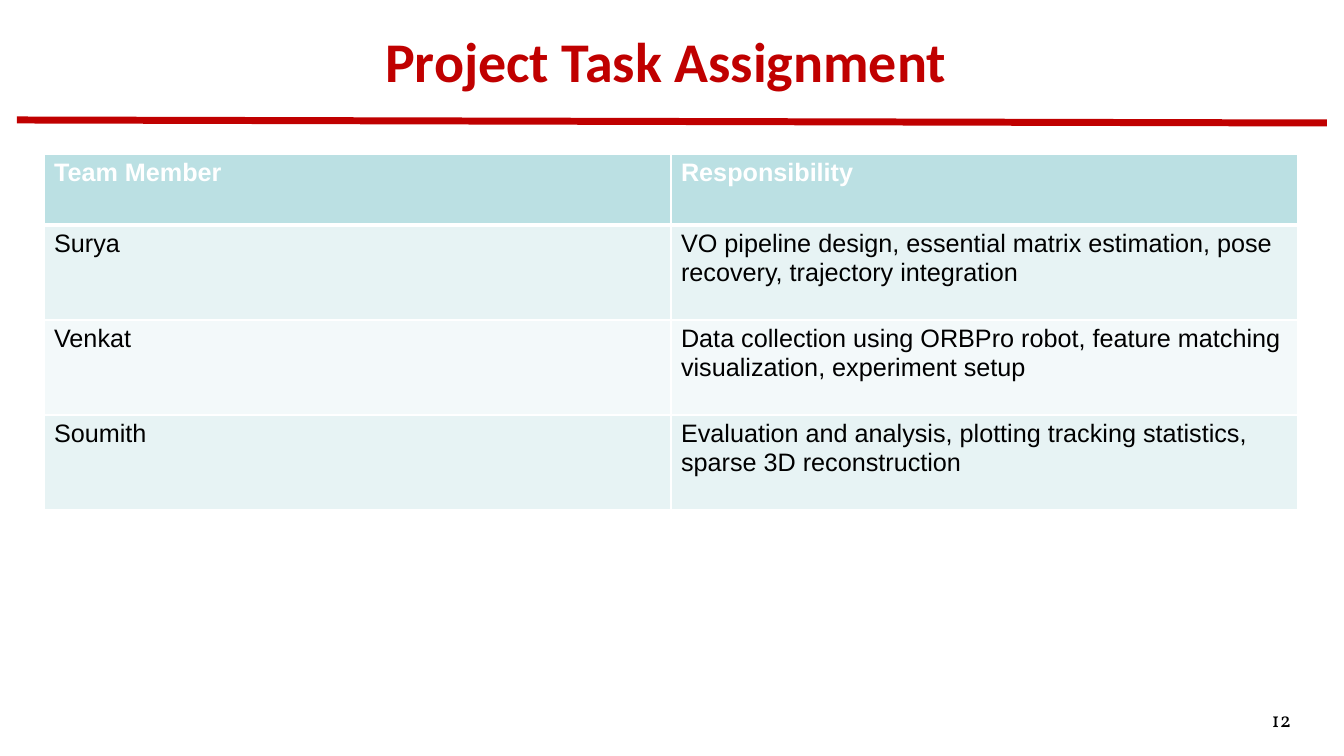
import pptx
import pptx.dml.color
import pptx.enum.shapes
import pptx.enum.text
import pptx.oxml.ns
import pptx.util
from lxml import etree

RED = pptx.dml.color.RGBColor(0xC0, 0x00, 0x00)
WHITE = pptx.dml.color.RGBColor(0xFF, 0xFF, 0xFF)
BLACK = pptx.dml.color.RGBColor(0x00, 0x00, 0x00)
TEAL = pptx.dml.color.RGBColor(0xBB, 0xE0, 0xE3)
PALE_TEAL = pptx.dml.color.RGBColor(0xE7, 0xF3, 0xF4)
FAINT_TEAL = pptx.dml.color.RGBColor(0xF3, 0xF9, 0xFA)

SLIDE_WIDTH, SLIDE_HEIGHT = 1344, 756
HEADER_HEIGHT, MEMBER_HEIGHT = 71, 95

ASSIGNMENTS = [
    ("Team Member", "Responsibility"),
    ("Surya", "VO pipeline design, essential matrix estimation, pose recovery, trajectory integration"),
    ("Venkat", "Data collection using ORBPro robot, feature matching visualization, experiment setup"),
    ("Soumith", "Evaluation and analysis, plotting tracking statistics, sparse 3D reconstruction"),
]


def px(length):
    """Turn pixels into EMU."""
    return pptx.util.Emu(round(length * 914400 / 100.8))


def set_font(paragraph, face, size, color, bold=False):
    """Set the font of a whole paragraph."""
    font = paragraph.font
    font.name, font.size, font.bold = face, pptx.util.Pt(size), bold
    font.color.rgb = color


def add_label(slide, box, text, align, anchor):
    """Place one line of text in a box and return its paragraph."""
    frame = slide.shapes.add_textbox(*map(px, box)).text_frame
    frame.word_wrap = True
    frame.vertical_anchor = anchor
    paragraph = frame.paragraphs[0]
    paragraph.text = text
    paragraph.alignment = align
    return paragraph


def add_heading(slide, box):
    """Place the title and the red rule near the foot of its box."""
    left, top, width, height = box
    title = add_label(slide, box, "Project Task Assignment ",
                      pptx.enum.text.PP_ALIGN.CENTER, pptx.enum.text.MSO_ANCHOR.MIDDLE)
    set_font(title, "Calibri", 40, RED, True)
    bottom = top + height
    rule = slide.shapes.add_connector(
        pptx.enum.shapes.MSO_CONNECTOR.STRAIGHT,
        px(left + 17), px(bottom - 3), px(left + width - 17), px(bottom))
    rule.line.color.rgb = RED
    rule.line.width = pptx.util.Pt(5)
    etree.SubElement(rule._element.spPr, pptx.oxml.ns.qn("a:effectLst"))


def set_borders(cell, top, bottom):
    """Draw white borders around a cell, with widths in points."""
    properties = cell._tc.get_or_add_tcPr()
    for side, width in (("L", 1), ("R", 1), ("T", top), ("B", bottom)):
        line = etree.SubElement(properties, pptx.oxml.ns.qn(f"a:ln{side}"), w=str(pptx.util.Pt(width)))
        fill = etree.SubElement(line, pptx.oxml.ns.qn("a:solidFill"))
        etree.SubElement(fill, pptx.oxml.ns.qn("a:srgbClr"), val=str(WHITE))


def add_assignments(slide, box):
    """Place the table of team members and responsibilities."""
    table = slide.shapes.add_table(len(ASSIGNMENTS), 2, *map(px, box)).table
    for column in table.columns:
        column.width = px(box[2] / 2)
    for index, entries in enumerate(ASSIGNMENTS):
        header = index == 0
        table.rows[index].height = px(HEADER_HEIGHT if header else MEMBER_HEIGHT)
        shade = TEAL if header else PALE_TEAL if index % 2 else FAINT_TEAL
        for cell, entry in zip(table.rows[index].cells, entries):
            set_borders(cell, 3 if index == 1 else 1, 3 if header else 1)
            cell.fill.solid()
            cell.fill.fore_color.rgb = shade
            cell.text = entry
            set_font(cell.text_frame.paragraphs[0], "Arial", 18, WHITE if header else BLACK, header)


def add_page_number(slide, box):
    """Place the page number at the right of its box."""
    number = add_label(slide, box, "12", pptx.enum.text.PP_ALIGN.RIGHT, pptx.enum.text.MSO_ANCHOR.TOP)
    set_font(number, "Vollkorn", 15, BLACK)


def main():
    """Build and save the slide."""
    presentation = pptx.Presentation()
    presentation.slide_width = px(SLIDE_WIDTH)
    presentation.slide_height = px(SLIDE_HEIGHT)
    slide = presentation.slides.add_slide(presentation.slide_layouts[6])
    add_heading(slide, (0, -3, SLIDE_WIDTH, 126))
    table_height = HEADER_HEIGHT + MEMBER_HEIGHT * (len(ASSIGNMENTS) - 1)
    add_assignments(slide, (44, 154, 1254, table_height))
    add_page_number(slide, (1066, 702, 235, 52))
    presentation.save("out.pptx")


if __name__ == "__main__":
    main()
